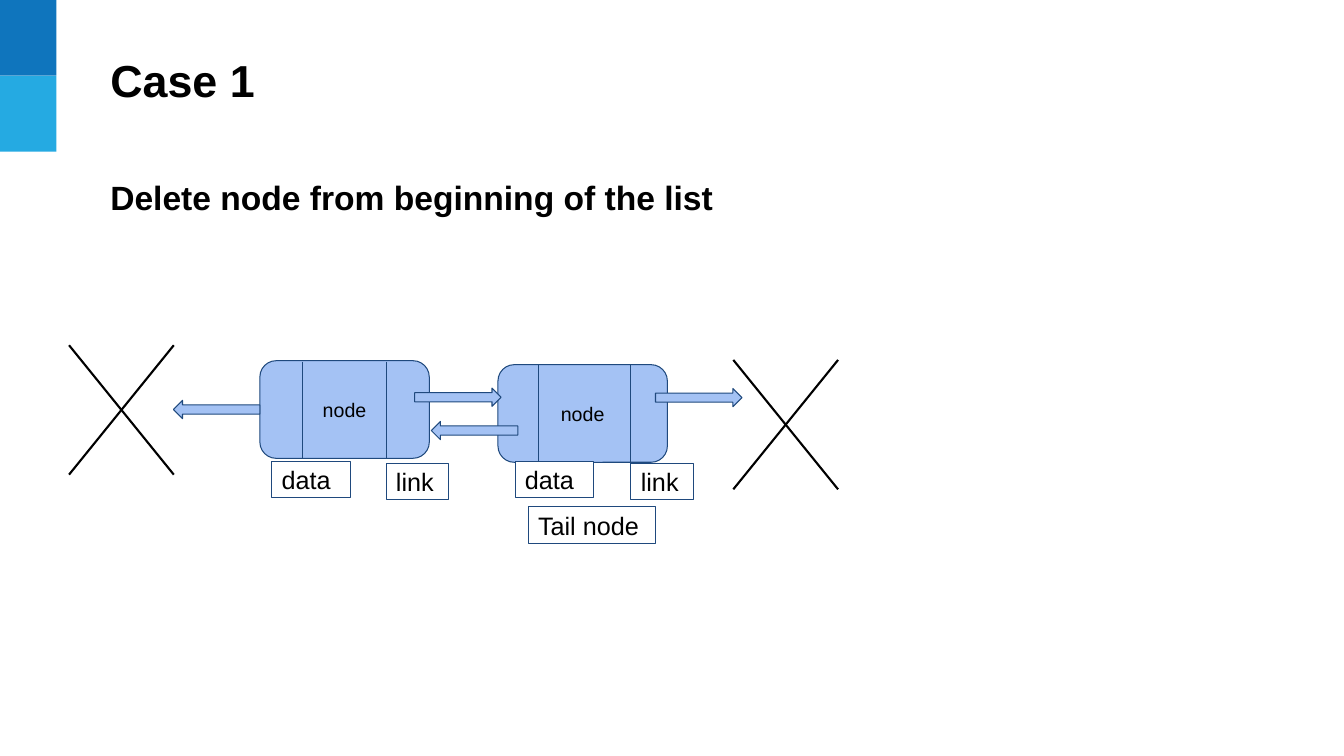
from lxml import etree
from pptx import Presentation
from pptx.dml.color import RGBColor
from pptx.enum.shapes import MSO_CONNECTOR, MSO_SHAPE
from pptx.enum.text import MSO_ANCHOR, PP_ALIGN
from pptx.oxml.ns import qn
from pptx.util import Cm, Pt

RECTANGLE = MSO_SHAPE.RECTANGLE
ROUNDED = MSO_SHAPE.ROUNDED_RECTANGLE
RIGHT_ARROW = MSO_SHAPE.RIGHT_ARROW
LEFT_ARROW = MSO_SHAPE.LEFT_ARROW
STRAIGHT = MSO_CONNECTOR.STRAIGHT
TOP, MIDDLE = MSO_ANCHOR.TOP, MSO_ANCHOR.MIDDLE
LEFT, CENTER = PP_ALIGN.LEFT, PP_ALIGN.CENTER

BLACK, WHITE = "000000", "FFFFFF"
NAVY, NODE_BLUE = "1F497D", "A4C2F4"
NODE_WIDTH, NODE_HEIGHT = 4.27, 2.46
LABEL_HEIGHT = 0.92
DATA_TOP, LINK_TOP = 11.63, 11.68


def color(value):
    return RGBColor.from_string(value)


def write(shape, text, size, bold=False, align=LEFT, anchor=MIDDLE, margin=0.25):
    frame = shape.text_frame
    frame.word_wrap = True
    frame.vertical_anchor = anchor
    frame.margin_left = frame.margin_right = Cm(0.25)
    frame.margin_top = frame.margin_bottom = Cm(margin)
    paragraph = frame.paragraphs[0]
    paragraph.text = text
    paragraph.alignment = align
    paragraph.font.name = "Arial"
    paragraph.font.size = Pt(size)
    paragraph.font.bold = bold
    paragraph.font.color.rgb = color(BLACK)


def add_box(slide, kind, left, top, width, height, fill, line=None):
    shape = slide.shapes.add_shape(kind, Cm(left), Cm(top), Cm(width), Cm(height))
    shape.shadow.inherit = False
    shape.fill.solid()
    shape.fill.fore_color.rgb = color(fill)
    if line:
        shape.line.color.rgb = color(line)
        shape.line.width = Pt(0.75)
    else:
        shape.line.fill.background()
    return shape


def add_line(slide, x1, y1, x2, y2, line, width):
    connector = slide.shapes.add_connector(STRAIGHT, Cm(x1), Cm(y1), Cm(x2), Cm(y2))
    connector.line.color.rgb = color(line)
    connector.line.width = Pt(width)
    etree.SubElement(connector._element.spPr, qn("a:effectLst"))


def add_text(slide, left, top, width, height, text, size, anchor, margin):
    box = slide.shapes.add_textbox(Cm(left), Cm(top), Cm(width), Cm(height))
    write(box, text, size, bold=True, anchor=anchor, margin=margin)


def add_label(slide, left, top, width, text):
    label = add_box(slide, RECTANGLE, left, top, width, LABEL_HEIGHT, WHITE, NAVY)
    write(label, text, 18)


def add_node(slide, left, top, data_divider, link_divider, data_offset):
    node = add_box(slide, ROUNDED, left, top, NODE_WIDTH, NODE_HEIGHT, NODE_BLUE, NAVY)
    write(node, "node", 14, align=CENTER)
    for offset in (data_divider, link_divider):
        x = left + offset
        add_line(slide, x, top + 0.02, x, top + NODE_HEIGHT, NAVY, 0.75)
    add_label(slide, left + data_offset, DATA_TOP, 1.98, "data")
    add_label(slide, left + link_divider, LINK_TOP, 1.58, "link")


def add_null_cross(slide, left, top, width=2.64, height=3.26):
    right, bottom = left + width, top + height
    add_line(slide, right, top, left, bottom, BLACK, 1.5)
    add_line(slide, right, bottom, left, top, BLACK, 1.5)


def add_side_band(slide, left, top, width, height):
    for row, fill in enumerate(("0F75BD", "25AAE2")):
        add_box(slide, RECTANGLE, left, top + row * height / 2, width, height / 2, fill)


def add_list_diagram(slide):
    add_node(slide, 12.55, 9.19, 1.02, 3.35, 0.43)
    add_node(slide, 6.55, 9.09, 1.07, 3.18, 0.3)
    for kind, left, top in (
        (RIGHT_ARROW, 10.45, 9.78),
        (RIGHT_ARROW, 16.52, 9.79),
        (LEFT_ARROW, 10.87, 10.62),
        (LEFT_ARROW, 4.37, 10.09),
    ):
        add_box(slide, kind, left, top, 2.18, 0.46, NODE_BLUE, NAVY)
    add_label(slide, 13.31, 12.77, 3.2, "Tail node")
    add_null_cross(slide, 1.74, 8.7)
    add_null_cross(slide, 18.48, 9.07)


def main():
    presentation = Presentation()
    presentation.slide_width = Cm(33.87)
    presentation.slide_height = Cm(19.05)
    slide = presentation.slides.add_slide(presentation.slide_layouts[6])
    add_side_band(slide, 0, 0, 1.42, 3.82)
    add_list_diagram(slide)
    add_text(slide, 2.53, 0.87, 22.22, 2.29, "Case 1", 32, MIDDLE, 0.13)
    add_text(slide, 2.53, 4.22, 25.78, 1.55,
             "Delete node from beginning of the list", 24, TOP, 0.25)
    presentation.save("out.pptx")


if __name__ == "__main__":
    main()
